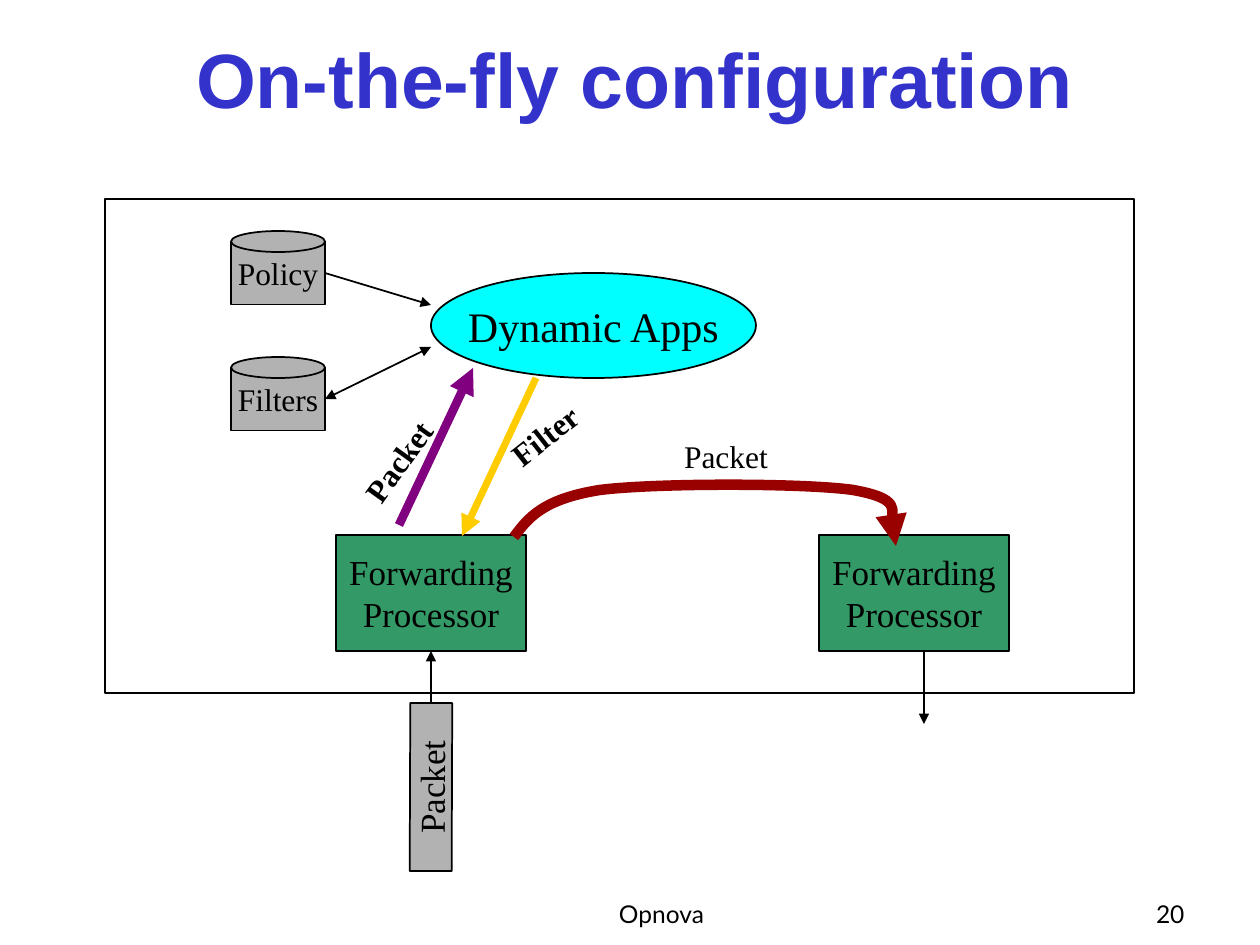
from dataclasses import dataclass

from lxml import etree
from pptx import Presentation, util as u
from pptx.dml.color import RGBColor
from pptx.enum import shapes, text
from pptx.oxml.ns import qn


@dataclass(frozen=True)
class Theme:
    ink: str = "000000"
    title: str = "3333CC"
    processor: str = "339966"
    store: str = "B2B2B2"
    apps: str = "00FFFF"
    packet_up: str = "800080"
    filter_down: str = "FFCC00"
    forward: str = "990000"
    serif: str = "Times New Roman"
    sans: str = "Arial"
    footer: str = "Lato"
    title_size: int = 44
    apps_size: int = 24
    box_size: int = 20
    label_size: int = 18
    footer_size: int = 14


T = Theme()
PX = 914400 / 126
RECT = shapes.MSO_SHAPE.RECTANGLE
OVAL = shapes.MSO_SHAPE.OVAL
BOTTOM, RIGHT = 2, 3

# Content, lengths in px
TITLE = ("On-the-fly configuration", (73, 42, 1124, 83))
FRAME = (105, 199, 1029, 494)
PROCESSOR = ("Forwarding\nProcessor", (336, 819), 535, (190, 116))
STORES = [("Policy", 231), ("Filters", 357)]
STORE_LEFT, STORE_WIDTH, STORE_HEIGHT, CAP_HEIGHT = 231, 94, 63, 21
APPS = ("Dynamic Apps", (431, 273, 325, 105))
INCOMING = ("Packet", (347, 766, 168, 42), 270.2)
LABELS = [  # text, place, rotation, bold, wrap
    ("Packet", (666, 431, 120, 50), 0, False, False),
    ("Packet", (335, 436, 126, 50), 305.6, True, True),
    ("Filter", (494, 410, 101, 50), 321.8, True, True),
]
FOOTERS = [
    ("Opnova", (462, 872, 399, 63), text.PP_ALIGN.CENTER),
    ("20", (935, 872, 262, 63), text.PP_ALIGN.RIGHT),
]
FLOWS = [  # start, end, colour, width
    ((924, 651), (924, 724), T.ink, 1),
    ((399, 525), (473, 368), T.packet_up, 5),
    ((536, 378), (462, 536), T.filter_down, 4),
]
FORWARD_START = (514, 537)
FORWARD_CURVES = [  # two control points and an end each
    ((528, 518), (543, 499), (600, 490)),
    ((655, 483), (804, 483), (853, 490)),
    ((903, 499), (888, 528), (896, 537)),
    ((903, 546), (900, 546), (896, 546)),
]

deck = Presentation()
deck.slide_width, deck.slide_height = u.Inches(10), u.Inches(7.5)
slide = deck.slides.add_slide(deck.slide_layouts[6])


def emu(lengths):
    return [round(n * PX) for n in lengths]


def write(shape, words, *, size, font=T.serif, color=T.ink, bold=False,
          align=text.PP_ALIGN.CENTER, anchor=text.MSO_ANCHOR.MIDDLE,
          wrap=False, grow=False, margins=(0.1, 0.05), spacing=None):
    frame = shape.text_frame
    frame.word_wrap = wrap
    frame.auto_size = (text.MSO_AUTO_SIZE.SHAPE_TO_FIT_TEXT if grow
                       else text.MSO_AUTO_SIZE.NONE)
    frame.vertical_anchor = anchor
    frame.margin_left = frame.margin_right = u.Inches(margins[0])
    frame.margin_top = frame.margin_bottom = u.Inches(margins[1])
    frame.text = words
    for line in frame.paragraphs:
        line.alignment = align
        line.line_spacing = spacing
        for run in line.runs:
            run.font.size, run.font.name, run.font.bold = u.Pt(size), font, bold
            run.font.color.rgb = RGBColor.from_string(color)


def label(words, place, rotation=0, **style):
    box = slide.shapes.add_textbox(*emu(place))
    box.rotation = rotation
    write(box, words, **style)


def block(kind, place, fill=None, width=1, parent=slide):
    shape = parent.shapes.add_shape(kind, *emu(place))
    shape.shadow.inherit = False
    if fill:
        shape.fill.solid()
        shape.fill.fore_color.rgb = RGBColor.from_string(fill)
    else:
        shape.fill.background()
    stroke(shape, T.ink, width)
    return shape


def stroke(shape, color, width, head=False, tail=False):
    shape.line.color.rgb = RGBColor.from_string(color)
    shape.line.width = u.Pt(width)
    for tag, wanted in (("a:headEnd", head), ("a:tailEnd", tail)):
        if wanted:
            etree.SubElement(shape.line._get_or_add_ln(), qn(tag), type="triangle")


def arrow(start, end, color=T.ink, width=1, head=False):
    line = slide.shapes.add_connector(
        shapes.MSO_CONNECTOR.STRAIGHT, *emu(start + end))
    stroke(line, color, width, head=head, tail=True)
    etree.SubElement(line._element.spPr, qn("a:effectLst"))
    return line


def curve(start, curves, color, width):
    builder = slide.shapes.build_freeform(*start, scale=PX)
    builder.add_line_segments([p for c in curves for p in c], close=False)
    shape = builder.convert_to_shape()
    # Gather each three line points into one cubic segment
    segments = list(shape._element.iter(qn("a:lnTo")))
    for first in range(0, len(segments), 3):
        cubic = etree.Element(qn("a:cubicBezTo"))
        segments[first].addprevious(cubic)
        for segment in segments[first:first + 3]:
            cubic.append(segment[0])
            segment.getparent().remove(segment)
    shape.shadow.inherit = False
    shape.fill.background()
    stroke(shape, color, width, tail=True)


# Processors inside the frame
words, lefts, top, size = PROCESSOR
processors = []
for left in lefts:
    processor = block(RECT, (left, top, *size), T.processor, 0.75)
    write(processor, words, size=T.box_size)
    processors.append(processor)
block(RECT, FRAME, width=0.75)

# Stores: a body with an oval cap
stores = {}
for name, top in STORES:
    group = slide.shapes.add_group_shape()
    body = block(RECT, (STORE_LEFT, top + CAP_HEIGHT / 2, STORE_WIDTH, STORE_HEIGHT),
                 T.store, parent=group)
    write(body, name, size=T.label_size)
    block(OVAL, (STORE_LEFT, top, STORE_WIDTH, CAP_HEIGHT), T.store, parent=group)
    stores[name] = body

# Flows
arrow((325, 273), (431, 305)).begin_connect(stores["Policy"], RIGHT)
arrow((325, 399), (431, 347), head=True).begin_connect(stores["Filters"], RIGHT)
arrow((431, 724), (431, 651)).end_connect(processors[0], BOTTOM)
for flow in FLOWS:
    arrow(*flow)
curve(FORWARD_START, FORWARD_CURVES, T.forward, 6)

# Applications and the incoming packet
words, place = APPS
write(block(OVAL, place, T.apps), words, size=T.apps_size)
words, place, rotation = INCOMING
incoming = block(RECT, place, T.store)
incoming.rotation = rotation
write(incoming, words, size=T.box_size)

# Labels, title and footer
for words, place, rotation, bold, wrap in LABELS:
    label(words, place, rotation, size=T.label_size, bold=bold, wrap=wrap, grow=True)
label(*TITLE, size=T.title_size, font=T.sans, color=T.title, bold=True, wrap=True,
      grow=True, anchor=text.MSO_ANCHOR.TOP, margins=(0.05, 0), spacing=0.9)
for words, place, align in FOOTERS:
    label(words, place, size=T.footer_size, font=T.footer, align=align, wrap=True,
          anchor=text.MSO_ANCHOR.BOTTOM)

deck.save("out.pptx")
